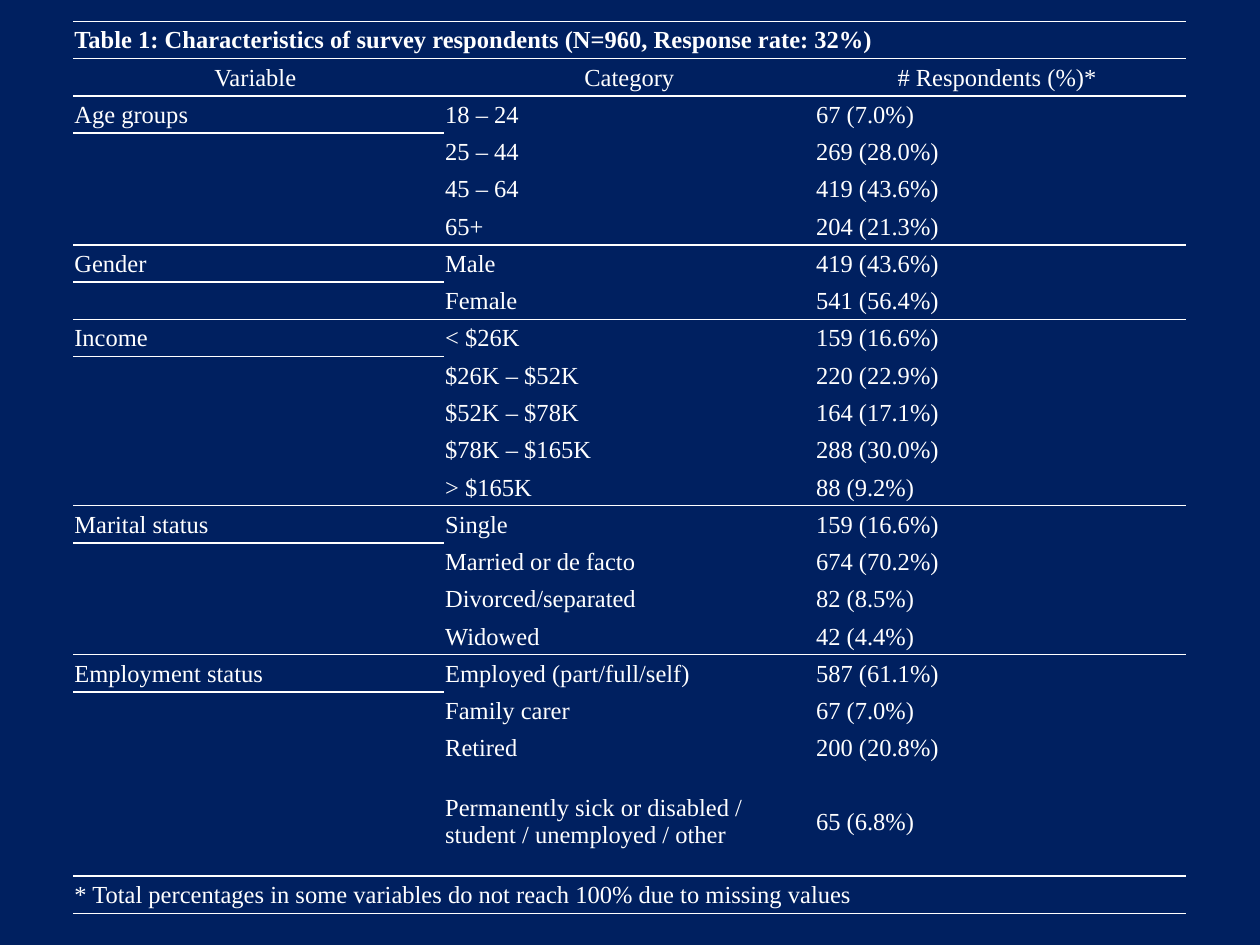
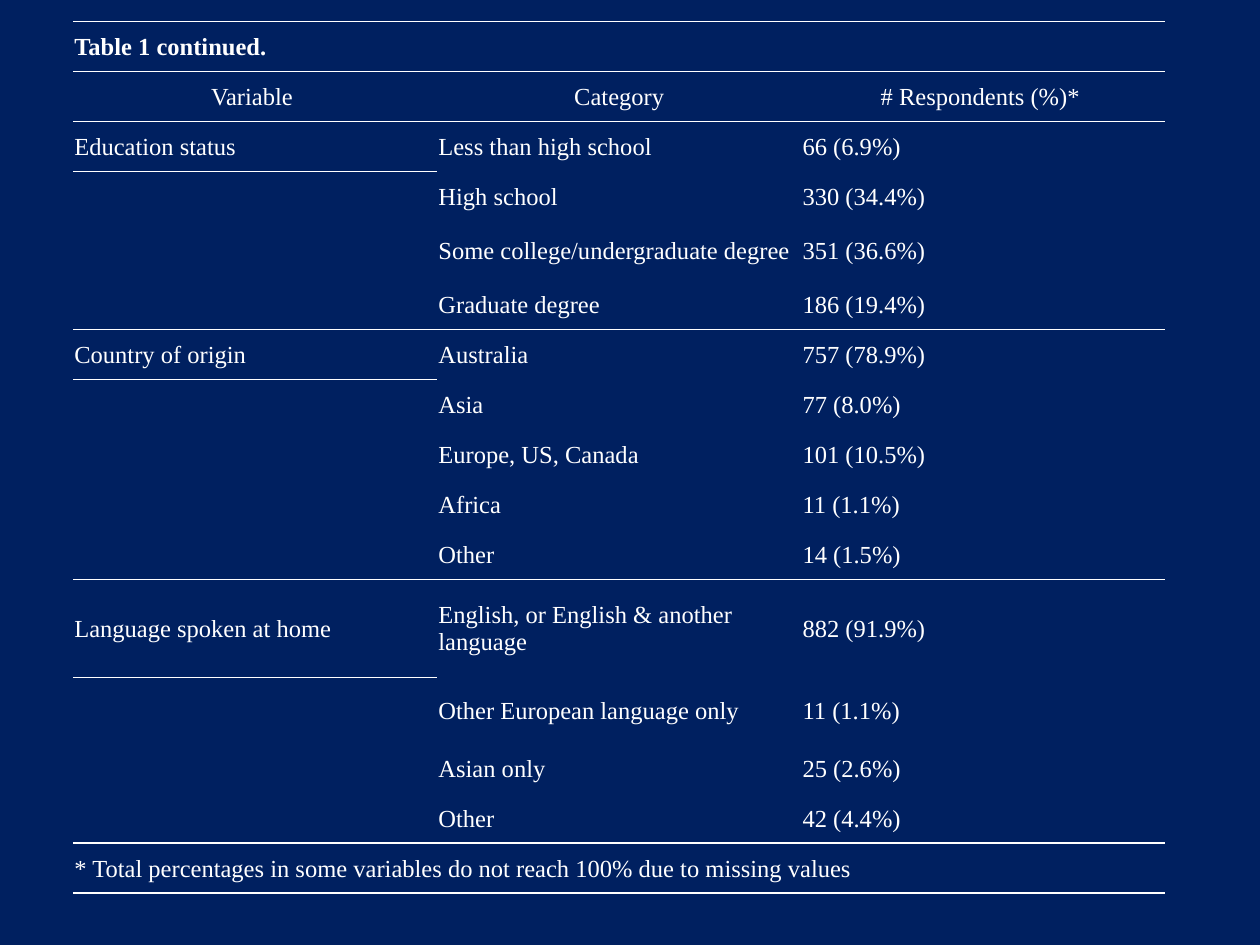
from lxml import etree
from pptx import Presentation
from pptx.dml.color import RGBColor
from pptx.enum import text
from pptx.oxml import ns
from pptx.util import Inches, Pt

NAVY = RGBColor(0x00, 0x20, 0x60)
WHITE = RGBColor(0xFF, 0xFF, 0xFF)
FONT = "Times New Roman"
SIZE = Pt(14)
LEFT, TOP = Inches(0.58), Inches(0.17)
CELL_FORMAT = {
    "margin_left": Inches(0.01),
    "margin_right": Inches(0.01),
    "margin_top": Inches(0.01),
    "margin_bottom": 0,
    "vertical_anchor": text.MSO_ANCHOR.MIDDLE,
}
HEADINGS = ("Variable ", " Category ", "# Respondents (%)* ")
FOOTNOTE = "* Total percentages in some variables do not reach 100% due to missing values"

PAGES = [
    {
        "title": "Table 1: Characteristics of survey respondents (N=960, Response rate: 32%)",
        "width": 8.83,
        "height": 7.08,
        "tall_rows": {20: 0.87},
        "groups": {
            "Age groups": [
                ("18 – 24", "67 (7.0%)"),
                ("25 – 44", "269 (28.0%)"),
                ("45 – 64", "419 (43.6%)"),
                ("65+", "204 (21.3%)"),
            ],
            "Gender": [
                ("Male", "419 (43.6%)"),
                ("Female", "541 (56.4%)"),
            ],
            "Income": [
                ("< $26K", "159 (16.6%)"),
                ("$26K – $52K", "220 (22.9%)"),
                ("$52K – $78K", "164 (17.1%)"),
                ("$78K – $165K", "288 (30.0%)"),
                ("> $165K", "88 (9.2%)"),
            ],
            "Marital status": [
                ("Single", "159 (16.6%)"),
                ("Married or de facto", "674 (70.2%)"),
                ("Divorced/separated", "82 (8.5%)"),
                ("Widowed", "42 (4.4%)"),
            ],
            "Employment status": [
                ("Employed (part/full/self)", "587 (61.1%)"),
                ("Family carer", "67 (7.0%)"),
                ("Retired", "200 (20.8%)"),
                ("Permanently sick or disabled / student / unemployed / other", "65 (6.8%)"),
            ],
        },
    },
    {
        "title": "Table 1 continued.",
        "width": 8.67,
        "height": 6.92,
        "tall_rows": {4: 0.46, 11: 0.78, 12: 0.52},
        "groups": {
            "Education status": [
                ("Less than high school", "66 (6.9%)"),
                ("High school", "330 (34.4%)"),
                ("Some college/undergraduate degree", "351 (36.6%)"),
                ("Graduate degree", "186 (19.4%)"),
            ],
            "Country of origin": [
                ("Australia", "757 (78.9%)"),
                ("Asia", "77 (8.0%)"),
                ("Europe, US, Canada", "101 (10.5%)"),
                ("Africa", "11 (1.1%)"),
                ("Other", "14 (1.5%)"),
            ],
            "Language spoken at home": [
                ("English, or English & another language", "882 (91.9%)"),
                ("Other European language only", "11 (1.1%)"),
                ("Asian only", "25 (2.6%)"),
                ("Other", "42 (4.4%)"),
            ],
        },
    },
]


def set_borders(cell, ruled_sides):
    properties = cell._tc.get_or_add_tcPr()
    for side in "LRTB":
        line = etree.SubElement(properties, ns.qn(f"a:ln{side}"), w=str(Pt(1)))
        if side in ruled_sides:
            fill = etree.SubElement(line, ns.qn("a:solidFill"))
            etree.SubElement(fill, ns.qn("a:srgbClr"), val=str(WHITE))
        else:
            etree.SubElement(line, ns.qn("a:noFill"))


def write_cell(cell, words, ruled_sides, bold=False, centred=False):
    for attribute, value in CELL_FORMAT.items():
        setattr(cell, attribute, value)
    set_borders(cell, ruled_sides)
    cell.fill.background()
    paragraph = cell.text_frame.paragraphs[0]
    if centred:
        paragraph.alignment = text.PP_ALIGN.CENTER
    if words:
        run = paragraph.add_run()
        run.text = words
        for attribute, value in {"name": FONT, "size": SIZE, "bold": bold}.items():
            setattr(run.font, attribute, value)
        run.font.color.rgb = WHITE
    else:
        etree.SubElement(paragraph._p, ns.qn("a:endParaRPr"), sz=str(int(SIZE.pt * 100)))


deck = Presentation()
deck.slide_width, deck.slide_height = Inches(10), Inches(7.5)

for page in PAGES:
    slide = deck.slides.add_slide(deck.slide_layouts[6])
    slide.background.fill.solid()
    slide.background.fill.fore_color.rgb = NAVY

    rows = [((page["title"], "", ""), ("TB",) * 3), (HEADINGS, ("TB",) * 3)]
    for variable, categories in page["groups"].items():
        last = len(categories) - 1
        for position, (category, respondents) in enumerate(categories):
            outer = ("T" if position == 0 else "") + ("B" if position == last else "")
            label_rule = {0: "B", 1: "T"}.get(position, "")
            label = variable if position == 0 else ""
            rows.append(((label, category, respondents), (outer + label_rule, outer, outer)))
    rows.append(((FOOTNOTE, "", ""), ("TB",) * 3))

    survey = slide.shapes.add_table(
        len(rows), 3, LEFT, TOP, Inches(page["width"]), Inches(page["height"])
    ).table
    survey.first_row = survey.horz_banding = False
    for column in survey.columns:
        column.width = Inches(page["width"] / 3)

    tall_rows = page["tall_rows"]
    row_height = (page["height"] - sum(tall_rows.values())) / (len(rows) - len(tall_rows))
    for row_index, (words, rules) in enumerate(rows):
        survey.rows[row_index].height = Inches(tall_rows.get(row_index, row_height))
        for column_index in range(3):
            write_cell(
                survey.cell(row_index, column_index),
                words[column_index],
                rules[column_index],
                bold=row_index == 0,
                centred=row_index == 1,
            )
    for spanning in (0, len(rows) - 1):
        survey.cell(spanning, 0).merge(survey.cell(spanning, 2))

deck.save("out.pptx")
